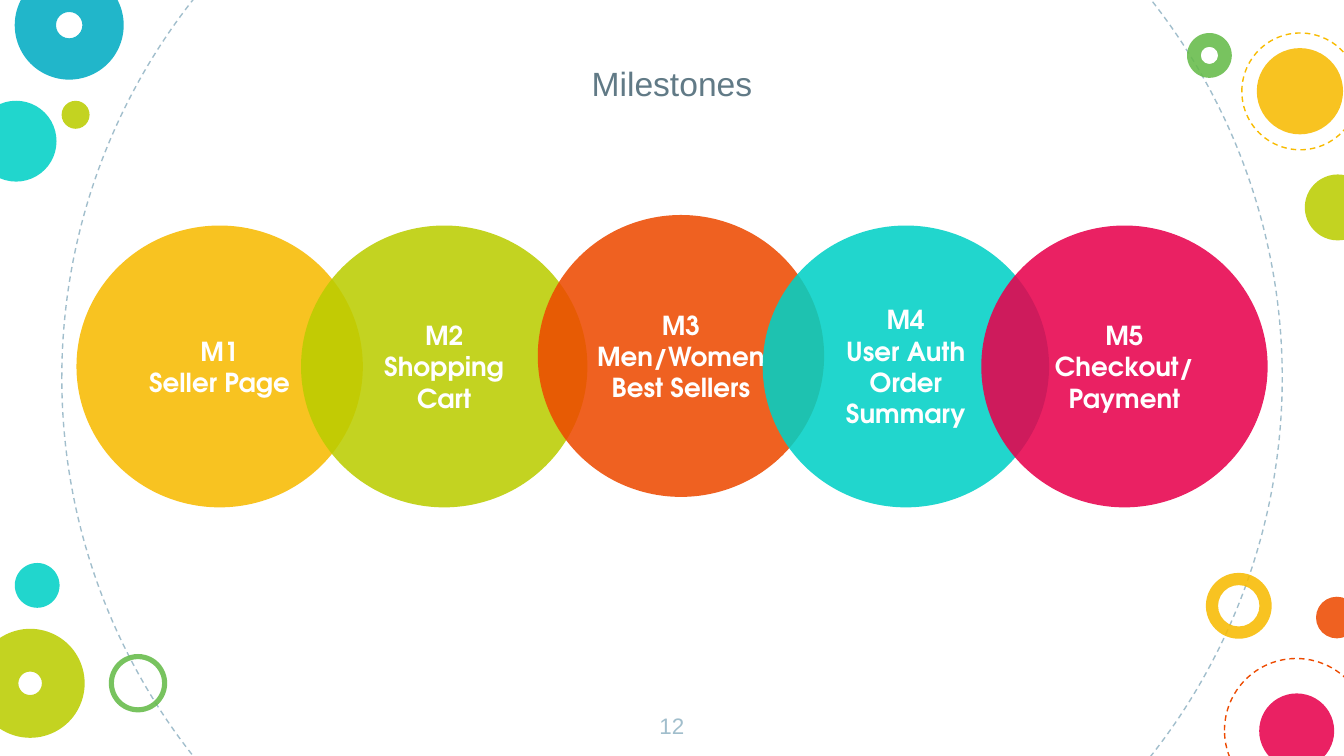
from lxml.etree import SubElement
from pptx import Presentation
from pptx.dml.color import RGBColor
from pptx.enum.dml import MSO_LINE
from pptx.enum.shapes import MSO_SHAPE as Shape
from pptx.enum.text import MSO_ANCHOR as Anchor, PP_ALIGN as Align
from pptx.oxml.ns import qn
from pptx.util import Pt

AMBER, LIME, ORANGE, TURQUOISE = "F8BB00", "BBCD00", "ED4A00", "00D1C6"
PINK, GREEN, BLUE, MIST = "E8004C", "65BB48", "00ACC3", "A1BECC"

deck = Presentation()
deck.slide_width, deck.slide_height = Pt(720), Pt(405)
page = deck.slides.add_slide(deck.slide_layouts[6])


def add_round(kind, left, top, width, height, color, dashed=False):
    """Add a circle or ring, either 87 % opaque or as a dashed outline."""
    item = page.shapes.add_shape(kind, Pt(left), Pt(top), Pt(width), Pt(height))
    item.shadow.inherit = False
    if dashed:
        item.fill.background()
        item.line.color.rgb = RGBColor.from_string(color)
        item.line.width = Pt(0.75)
        item.line.dash_style = MSO_LINE.DASH
    else:
        item.line.fill.background()
        item.fill.solid()
        item.fill.fore_color.rgb = RGBColor.from_string(color)
        tint = item.fill._xPr.find(qn("a:solidFill"))[0]
        SubElement(tint, qn("a:alpha")).set("val", "87000")
    return item


def write(box, text, size, font, color, anchor, bold=False):
    frame = box.text_frame
    frame.text = text
    frame.word_wrap = True
    frame.vertical_anchor = anchor
    frame.margin_left = frame.margin_right = Pt(7.2)
    frame.margin_top = frame.margin_bottom = Pt(7.2)
    for para in frame.paragraphs:
        para.alignment = Align.CENTER
        for span in para.runs:
            span.font.size = Pt(size)
            span.font.name = font
            span.font.bold = bold
            span.font.color.rgb = RGBColor.from_string(color)


# Background decoration: left, top, diameter, colour
outlines = [
    (33.1, -124.5, 653.8, MIST),
    (656, 352.8, 77, ORANGE),
    (665.3, 17.7, 62.6, AMBER),
]
discs = [
    (-13, 54, 43.3, TURQUOISE),
    (33, 54, 15, LIME),
    (705, 319.7, 22.3, ORANGE),
    (674.6, 371.5, 40.2, PINK),
    (673.3, 25.8, 46.2, AMBER),
    (699, 93.5, 35.3, LIME),
    (7.9, 301.6, 24, TURQUOISE),
]
# The last value is the ring's thickness relative to its diameter
rings = [
    (646, 306.9, 35.3, AMBER, 0.186),
    (7.9, -15.7, 58.4, BLUE, 0.379),
    (58.3, 350.4, 31.3, GREEN, 0.088),
    (-13, 336.9, 58.4, LIME, 0.392),
    (635.9, 17.7, 24, GREEN, 0.306),
]
for left, top, size, color in outlines:
    add_round(Shape.OVAL, left, top, size, size, color, dashed=True)
for left, top, size, color in discs:
    add_round(Shape.OVAL, left, top, size, size, color)
for left, top, size, color, thickness in rings:
    ring = add_round(Shape.DONUT, left, top, size, size, color)
    ring.adjustments[0] = thickness

# Title and page number
title = page.shapes.add_textbox(Pt(152.3), Pt(12.2), Pt(415.4), Pt(50.4))
write(title, "Milestones", 18, "Arial", "617A86", Anchor.BOTTOM)
number = page.shapes.add_textbox(Pt(341.6), Pt(374.4), Pt(36.7), Pt(31))
write(number, "12", 12, "Arial", MIST, Anchor.TOP)

# Overlapping milestone circles
milestones = [
    (41, 120.8, AMBER, "M1\nSeller Page"),
    (161.3, 120.8, LIME, "M2\nShopping Cart"),
    (288.1, 115.2, ORANGE, "M3\nMen/Women\nBest Sellers"),
    (408.6, 120.8, TURQUOISE, "M4\nUser Auth\nOrder Summary"),
    (525.7, 120.8, PINK, "M5\nCheckout/Payment"),
]
for left, top, color, text in milestones:
    circle = add_round(Shape.OVAL, left, top, 153.4, 151, color)
    write(circle, text, 14, "TeX Gyre Adventor", "FFFFFF", Anchor.MIDDLE, bold=True)

deck.save("out.pptx")
